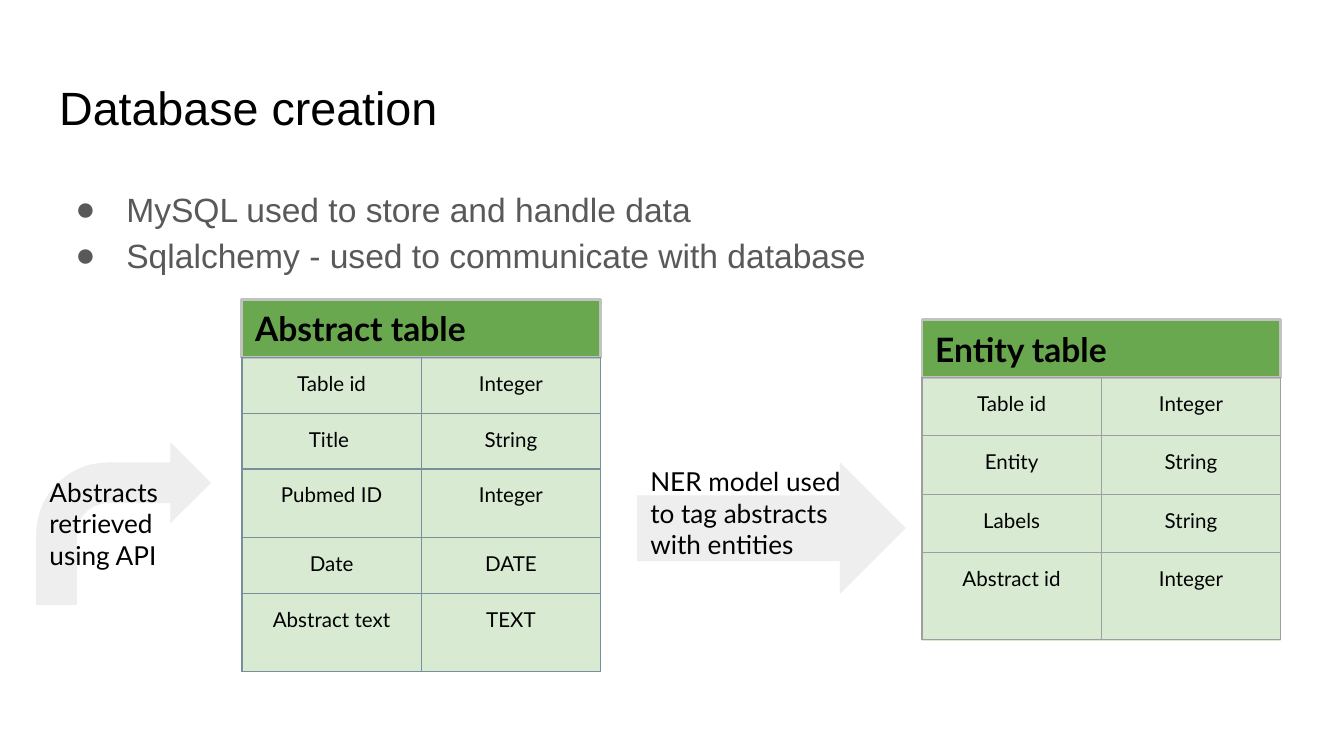
from dataclasses import dataclass

from lxml import etree
from pptx import Presentation
from pptx.dml.color import RGBColor
from pptx.enum.shapes import MSO_SHAPE
from pptx.enum.text import MSO_ANCHOR, MSO_AUTO_SIZE, PP_ALIGN
from pptx.oxml.ns import qn
from pptx.util import Inches, Pt

RECT = MSO_SHAPE.RECTANGLE
BENT = MSO_SHAPE.BENT_ARROW
RIGHT = MSO_SHAPE.RIGHT_ARROW
TOP = MSO_ANCHOR.TOP
MIDDLE = MSO_ANCHOR.MIDDLE
LEFT = PP_ALIGN.LEFT
CENTER = PP_ALIGN.CENTER
FIXED = MSO_AUTO_SIZE.NONE


@dataclass(frozen=True)
class Theme:
    sans: str = "Arial"
    lato: str = "Lato"
    ink: str = "000000"
    gray: str = "595959"
    head: str = "6AA84F"
    edge: str = "C2C2C2"
    pale: str = "D9EAD3"
    arrow: str = "EEEEEE"
    slate: str = "78909C"
    ash: str = "9E9E9E"
    title: int = 25
    large: int = 18
    note: int = 14
    cell: int = 11


THEME = Theme()


def color(code):
    return RGBColor.from_string(code)


def place(shape, box):
    shape.left, shape.top, shape.width, shape.height = map(Inches, box)


def pad(frame, top=0.1, bottom=0.1):
    frame.margin_left = frame.margin_right = Inches(0.1)
    frame.margin_top, frame.margin_bottom = Inches(top), Inches(bottom)
    frame.word_wrap = True


def write(frame, lines, font, size, tint, align=LEFT, bold=False):
    for i, line in enumerate(lines):
        para = frame.add_paragraph() if i else frame.paragraphs[0]
        para.alignment = align
        run = para.add_run()
        run.text = line
        run.font.name = font
        run.font.size = Pt(size)
        run.font.bold = bold
        run.font.color.rgb = color(tint)


def draw(slide, kind, box, fill, edge=None):
    shape = slide.shapes.add_shape(kind, *map(Inches, box))
    shape.shadow.inherit = False
    shape.fill.solid()
    shape.fill.fore_color.rgb = color(fill)
    if edge:
        shape.line.color.rgb = color(edge)
        shape.line.width = Pt(1.5)
    else:
        shape.line.fill.background()
    return shape


def hold(shape, box):
    place(shape, box)
    frame = shape.text_frame
    frame.auto_size = FIXED
    frame.vertical_anchor = TOP
    pad(frame)
    return frame


def title(slide, box, text):
    frame = hold(slide.shapes.title, box)
    write(frame, [text], THEME.sans, THEME.title, THEME.ink)


def bullet(para):
    para.line_spacing = 1.15
    para.space_before = Pt(0)
    props = para._p.get_or_add_pPr()
    props.set("marL", str(Inches(0.5)))
    props.set("indent", str(Inches(-0.38)))
    tint = etree.SubElement(props, qn("a:buClr"))
    etree.SubElement(tint, qn("a:srgbClr"), val=THEME.gray)
    etree.SubElement(props, qn("a:buFont"), typeface=THEME.sans)
    etree.SubElement(props, qn("a:buChar"), char="●")


def body(slide, box, lines):
    frame = hold(slide.placeholders[1], box)
    write(frame, lines, THEME.sans, THEME.large, THEME.gray)
    for para in frame.paragraphs:
        bullet(para)


def border(cell, tint):
    props = cell._tc.get_or_add_tcPr()
    for i, side in enumerate(("lnL", "lnR", "lnT", "lnB")):
        line = etree.Element(qn(f"a:{side}"), w=str(Pt(0.75)))
        fill = etree.SubElement(line, qn("a:solidFill"))
        etree.SubElement(fill, qn("a:srgbClr"), val=tint)
        props.insert(i, line)


def grid(slide, box, rows, tint):
    frame = slide.shapes.add_table(len(rows), 2, *map(Inches, box))
    table = frame.table
    table.first_row = table.horz_banding = False
    for col in table.columns:
        col.width = Inches(box[2] / 2)
    for row, (name, kind, tall) in zip(table.rows, rows):
        row.height = Inches(tall)
        for cell, text in zip(row.cells, (name, kind)):
            cell.margin_left = cell.margin_right = Inches(0.1)
            cell.margin_top = cell.margin_bottom = Inches(0.1)
            cell.fill.background()
            border(cell, tint)
            write(cell.text_frame, [text], THEME.lato, THEME.cell,
                  THEME.ink, CENTER)


def panel(slide, box, name, rows, tint):
    left, top, wide, tall = box
    draw(slide, RECT, (left, top + 0.38, wide, tall - 0.38), THEME.pale)
    head = draw(slide, RECT, (left, top, wide, 0.43), THEME.head, THEME.edge)
    frame = head.text_frame
    frame.vertical_anchor = MIDDLE
    pad(frame)
    write(frame, [name], THEME.lato, THEME.large, THEME.ink, bold=True)
    high = sum(row[2] for row in rows)
    grid(slide, (left, top + 0.43, wide, high), rows, tint)


def arrow(slide, kind, box, lines, adjust, top=0.1, bottom=0.1):
    shape = draw(slide, kind, box, THEME.arrow)
    for i, value in enumerate(adjust):
        shape.adjustments[i] = value
    frame = shape.text_frame
    frame.vertical_anchor = MIDDLE
    pad(frame, top, bottom)
    write(frame, lines, THEME.lato, THEME.note, THEME.ink)


def main():
    deck = Presentation()
    deck.slide_width = Inches(10)
    deck.slide_height = Inches(10 * 9 / 16)
    slide = deck.slides.add_slide(deck.slide_layouts[1])
    title(slide, (0.34, 0.49, 9.32, 0.63), "Database creation")
    body(slide, (0.34, 1.26, 9.32, 3.74), [
        "MySQL used to store and handle data",
        "Sqlalchemy - used to communicate with database",
    ])
    arrow(slide, BENT, (0.27, 3.29, 1.3, 1.21),
          ["Abstracts", "retrieved", "using API"], (0.25, 0.25, 0.25, 0.44))
    arrow(slide, RIGHT, (4.74, 3.44, 2, 0.98),
          ["NER model used to tag abstracts with entities"], (0.5, 0.5),
          top=0, bottom=0.23)
    panel(slide, (1.8, 2.23, 2.67, 2.77), "Abstract table", [
        ("Table id", "Integer", 0.42),
        ("Title ", "String", 0.41),
        ("Pubmed ID", "Integer", 0.51),
        ("Date", "DATE", 0.42),
        ("Abstract text", "TEXT", 0.58),
    ], THEME.slate)
    panel(slide, (6.86, 2.38, 2.67, 2.39), "Entity table", [
        ("Table id", "Integer", 0.43),
        ("Entity", "String", 0.44),
        ("Labels", "String", 0.43),
        ("Abstract id", "Integer", 0.65),
    ], THEME.ash)
    deck.save("out.pptx")


if __name__ == "__main__":
    main()
